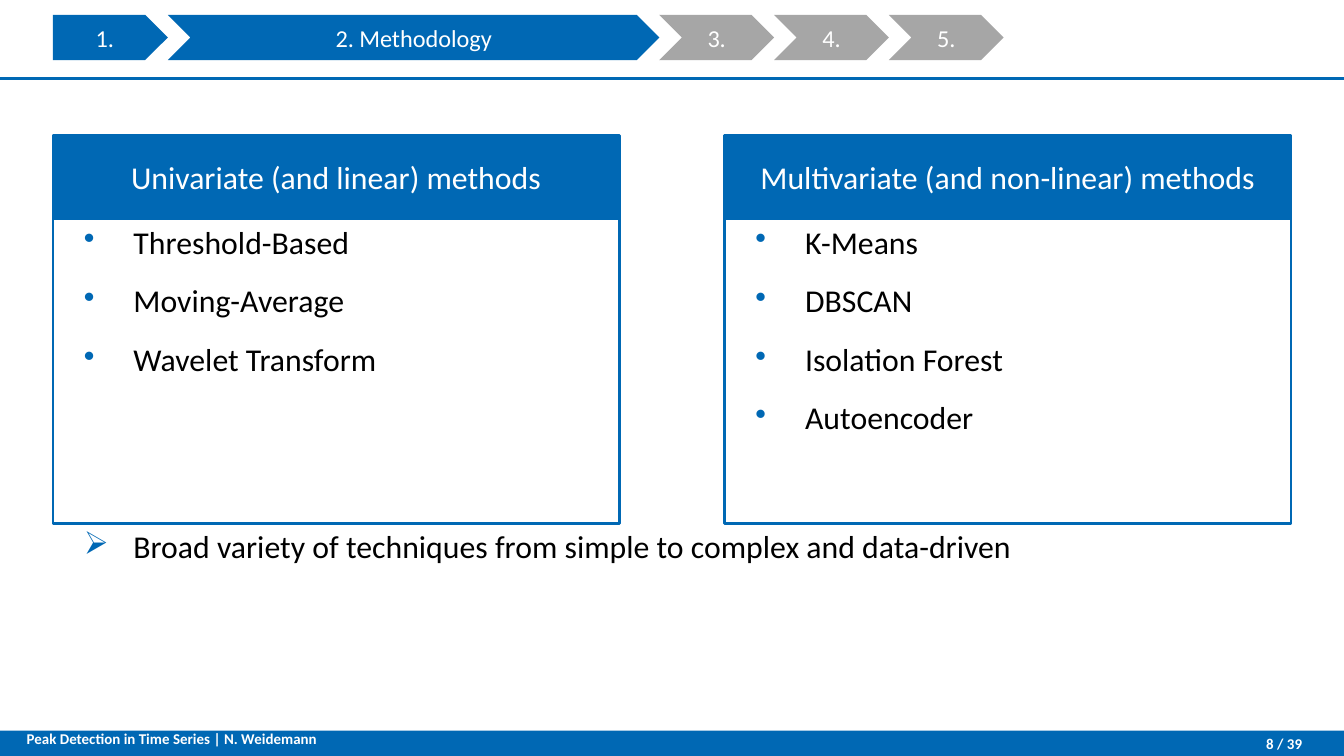
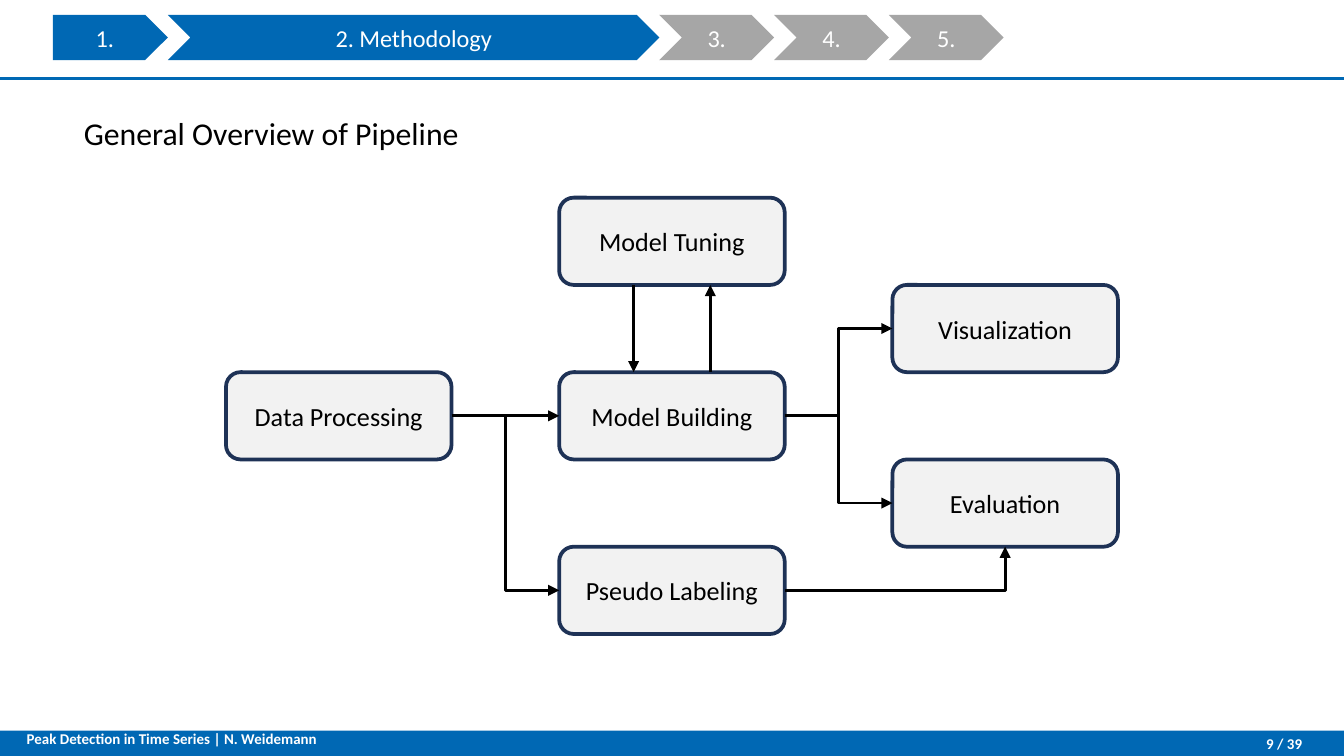
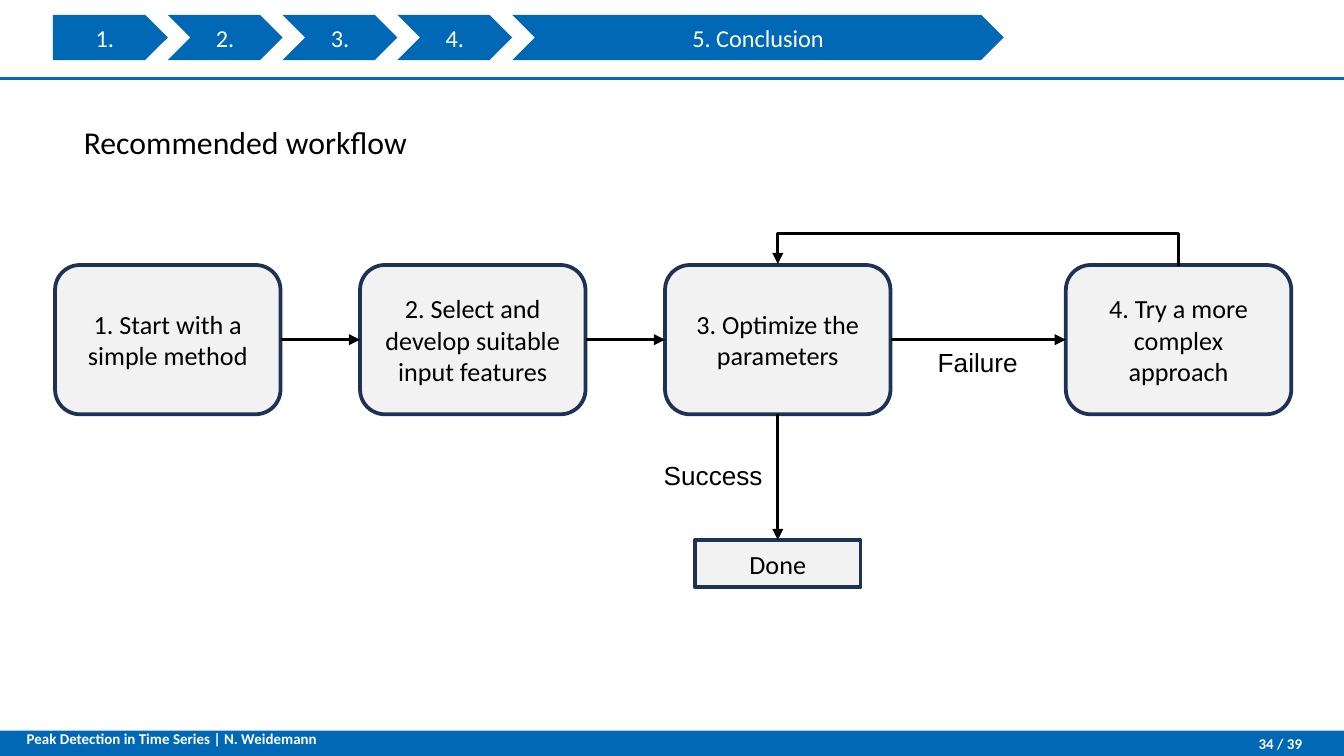
from dataclasses import dataclass
from typing import NamedTuple

from pptx import Presentation, util as u
from pptx.dml.color import RGBColor
from pptx.enum import shapes as sh, text as tx
from pptx.oxml.ns import qn
from lxml import etree

BLUE = RGBColor(0x00, 0x68, 0xB4)
NAVY = RGBColor(0x1E, 0x32, 0x56)
GREY = RGBColor(0xA6, 0xA6, 0xA6)
PALE = RGBColor(0xF2, 0xF2, 0xF2)
WHITE = RGBColor(0xFF, 0xFF, 0xFF)
BLACK = RGBColor(0, 0, 0)

WIDTH, HEIGHT = 720, 405
LEFT = 28.4
BODY_W = WIDTH - 2 * LEFT
INDENT = 9.4
PAGES = 39
FOOTER = "Peak Detection in Time Series | N. Weidemann"
KIND = sh.MSO_SHAPE
LEFT_AL, MID_AL, RIGHT_AL = tx.PP_ALIGN.LEFT, tx.PP_ALIGN.CENTER, tx.PP_ALIGN.RIGHT
TOP, MIDDLE = tx.MSO_ANCHOR.TOP, tx.MSO_ANCHOR.MIDDLE


class Spot(NamedTuple):
    x: float
    y: float


class Box(NamedTuple):
    x: float
    y: float
    w: float
    h: float

    def at(self, fx: float, fy: float) -> Spot:
        """Point at the given fractions of width and height."""
        return Spot(self.x + fx * self.w, self.y + fy * self.h)

    def pts(self) -> list:
        return [u.Pt(v) for v in self]


class Pad(NamedTuple):
    left: float = 7.2
    top: float = 3.6
    right: float = 7.2
    bottom: float = 3.6


@dataclass(frozen=True)
class Type:
    size: float
    color: RGBColor = BLACK
    name: str = "Calibri"
    bold: bool = False
    align: tx.PP_ALIGN = LEFT_AL
    anchor: tx.MSO_ANCHOR = TOP
    pad: Pad = Pad()
    lead: float = 1.0


@dataclass(frozen=True)
class Card:
    x: float
    head: str
    items: tuple


@dataclass(frozen=True)
class Node:
    name: str
    box: Box
    kind: sh.MSO_SHAPE = KIND.ROUNDED_RECTANGLE


BODY = Type(17, lead=0.95)
HEAD = Type(17, WHITE, align=MID_AL, anchor=MIDDLE)
STEP = Type(13, WHITE, align=MID_AL, anchor=MIDDLE, pad=Pad(0, 0, 0, 0))
NODE = Type(14, align=MID_AL, anchor=MIDDLE)
LABEL = Type(14, name="Arial")
CREDIT = Type(8, WHITE, bold=True, pad=Pad(7.2, 7.2, 7.2, 7.2))
NUMBER = Type(8, WHITE, bold=True, align=RIGHT_AL, anchor=MIDDLE,
              pad=Pad(7.2, 3.6, 0, 3.6))


def write(shape, lines, style: Type, mark: str = "", inset: float = 0) -> None:
    """Fill a shape with paragraphs, bulleted when a mark is given."""
    frame = shape.text_frame
    frame.word_wrap = True
    frame.vertical_anchor = style.anchor
    pad = style.pad
    frame.margin_left, frame.margin_right = u.Pt(pad.left), u.Pt(pad.right)
    frame.margin_top, frame.margin_bottom = u.Pt(pad.top), u.Pt(pad.bottom)
    for i, line in enumerate(lines):
        par = frame.add_paragraph() if i else frame.paragraphs[0]
        par.text = line
        par.alignment = style.align
        par.line_spacing = style.lead
        par.space_before = u.Pt(12 if i else 0)
        props = par._p.get_or_add_pPr()
        if mark:
            props.set("marL", str(u.Pt(36)))
            props.set("indent", str(u.Pt(INDENT - 36)))
            tint = etree.SubElement(props, qn("a:buClr"))
            etree.SubElement(tint, qn("a:srgbClr")).set("val", str(BLUE))
            etree.SubElement(props, qn("a:buChar")).set("char", mark)
        elif inset:
            props.set("marL", str(u.Pt(inset)))
        font = par.font
        font.name, font.size, font.bold = style.name, u.Pt(style.size), style.bold
        font.color.rgb = style.color


def draw(parent, kind, box: Box, fill=None, edge=None, thick: float = 1.5):
    shape = parent.shapes.add_shape(kind, *box.pts())
    shape.shadow.inherit = False
    if fill is None:
        shape.fill.background()
    else:
        shape.fill.solid()
        shape.fill.fore_color.rgb = fill
    if edge is None:
        shape.line.fill.background()
    else:
        shape.line.color.rgb = edge
        shape.line.width = u.Pt(thick)
    return shape


def note(slide, box: Box, line: str, style: Type, **marks) -> None:
    write(slide.shapes.add_textbox(*box.pts()), [line], style, **marks)


def link(slide, start: Spot, end: Spot, bent: bool = False,
         color: RGBColor = BLACK, arrow: bool = True):
    kind = sh.MSO_CONNECTOR.ELBOW if bent else sh.MSO_CONNECTOR.STRAIGHT
    line = slide.shapes.add_connector(kind, *(u.Pt(v) for v in start + end))
    line.line.color.rgb = color
    line.line.width = u.Pt(1.5)
    if arrow:
        etree.SubElement(line.get_or_add_ln(), qn("a:tailEnd")).set("type", "triangle")
    etree.SubElement(line._element.spPr, qn("a:effectLst"))
    return line


def corner(slide, start: Spot, end: Spot) -> None:
    """Arrow with a single bend: across, then up or down."""
    line = link(slide, start, end, bent=True)
    line._element.spPr.find(qn("a:prstGeom")).set("prst", "bentConnector2")


def loop(slide, start: Spot, end: Spot, rise: float) -> None:
    """Arrow that runs back over the top from start to end."""
    mid, half = (start.x + end.x) / 2, (start.x - end.x) / 2
    line = link(slide, Spot(mid - 0.5, start.y + half),
                Spot(mid + 0.5, start.y - half), bent=True)
    props = line._element.spPr
    props.find(qn("a:xfrm")).set("rot", str(270 * 60000))
    geom = props.find(qn("a:prstGeom"))
    for old in list(geom):
        geom.remove(old)
    guide = etree.SubElement(etree.SubElement(geom, qn("a:avLst")), qn("a:gd"))
    guide.set("name", "adj1")
    guide.set("fmla", f"val {round(rise * 100000)}")


def steps(slide, now: int, title: str) -> None:
    """Progress bar of five sections with the current one spelled out."""
    group = slide.shapes.add_group_shape()
    x = LEFT
    for i in range(1, 6):
        wide = 263.3 if i == now else 61.5
        kind = KIND.CHEVRON if i > 1 else KIND.PENTAGON
        shape = draw(group, kind, Box(x, 8, wide, 24.2), BLUE if i <= now else GREY)
        write(shape, [f"{i}. {title}" if i == now else f"{i}."], STEP)
        x += wide


def start(deck, page: int, now: int, title: str):
    """Add a slide with band, rule, progress bar and footer."""
    slide = deck.slides.add_slide(deck.slide_layouts[6])
    draw(slide, KIND.RECTANGLE, Box(0, 391.5, WIDTH, 13.5), BLUE)
    link(slide, Spot(WIDTH, 42), Spot(0, 42), color=BLUE, arrow=False)
    steps(slide, now, title)
    note(slide, Box(7.2, 385.9, 312.5, 24.5), FOOTER, CREDIT)
    note(slide, Box(630, 391.5, 67.6, 13.5), f"{page} / {PAGES}", NUMBER)
    return slide


def topic(slide, line: str, lead: float) -> None:
    note(slide, Box(LEFT, 59, BODY_W, 286.6), line, Type(17, lead=lead), inset=INDENT)


def place(slide, nodes) -> None:
    for node in nodes:
        write(draw(slide, node.kind, node.box, PALE, NAVY, 2), [node.name], NODE)


def methods(deck) -> None:
    slide = start(deck, 8, 2, "Methodology")
    wide = 303.4
    cards = (
        Card(LEFT, "Univariate (and linear) methods",
             ("Threshold-Based", "Moving-Average", "Wavelet Transform")),
        Card(WIDTH - LEFT - wide, "Multivariate (and non-linear) methods",
             ("K-Means", "DBSCAN", "Isolation Forest", "Autoencoder")),
    )
    for card in cards:
        head = draw(slide, KIND.RECTANGLE, Box(card.x, 72.5, wide, 44.6), BLUE, BLUE)
        write(head, [card.head], HEAD)
        body = draw(slide, KIND.RECTANGLE, Box(card.x, 117.1, wide, 163.2), edge=BLUE)
        write(body, card.items, BODY, mark="•")
    note(slide, Box(LEFT, 280.2, BODY_W, 65.4),
         "Broad variety of techniques from simple to complex and data-driven",
         BODY, mark="➢")


def pipeline(deck) -> None:
    slide = start(deck, 9, 2, "Methodology")
    topic(slide, "General Overview of Pipeline", 0.95)
    wide, high, step = 120.8, 46.75, 178.5

    def cell(col: int, row: int) -> Box:
        """Grid cell counted from the central node."""
        return Box((WIDTH - wide) / 2 + col * step, 199.4 + row * high, wide, high)

    data, build, tune = cell(-1, 0), cell(0, 0), cell(0, -2)
    view, rate, pseudo = cell(1, -1), cell(1, 1), cell(0, 2)
    place(slide, (
        Node("Data Processing", data), Node("Model Building", build),
        Node("Model Tuning", tune), Node("Visualization", view),
        Node("Evaluation", rate), Node("Pseudo Labeling", pseudo),
    ))
    link(slide, data.at(1, 0.5), build.at(0, 0.5))
    link(slide, tune.at(0.33, 1), build.at(0.33, 0))
    link(slide, build.at(0.67, 0), tune.at(0.67, 1))
    for src, dest in ((build, view), (build, rate), (data, pseudo)):
        link(slide, src.at(1, 0.5), dest.at(0, 0.5), bent=True)
    corner(slide, pseudo.at(1, 0.5), rate.at(0.5, 1))


def workflow(deck) -> None:
    slide = start(deck, 34, 5, "Conclusion")
    topic(slide, "Recommended workflow", 1.15)
    wide, gap = 120.8, 42.6
    first, second, third = (Box(29.5 + i * (wide + gap), 142, wide, 80)
                            for i in range(3))
    fourth = Box(571, 142, wide, 80)
    done = Box(372.4, 289.3, 88.6, 25.4)
    place(slide, (
        Node("1. Start with a simple method", first),
        Node("2. Select and develop suitable input features", second),
        Node("3. Optimize the parameters", third),
        Node("4. Try a more complex approach", fourth),
        Node("Done", done, KIND.RECTANGLE),
    ))
    for src, dest in ((first, second), (second, third), (third, fourth)):
        link(slide, src.at(1, 0.5), dest.at(0, 0.5))
    link(slide, third.at(0.5, 1), done.at(0.5, 0))
    loop(slide, fourth.at(0.5, 0), third.at(0.5, 0), 17.5)
    note(slide, Box(348.5, 242.6, 67.7, 24.5), "Success", LABEL)
    note(slide, Box(495.3, 182.2, 67.7, 24.5), "Failure", LABEL)


def main() -> None:
    deck = Presentation()
    deck.slide_width, deck.slide_height = u.Pt(WIDTH), u.Pt(HEIGHT)
    methods(deck)
    pipeline(deck)
    workflow(deck)
    deck.save("out.pptx")


if __name__ == "__main__":
    main()
